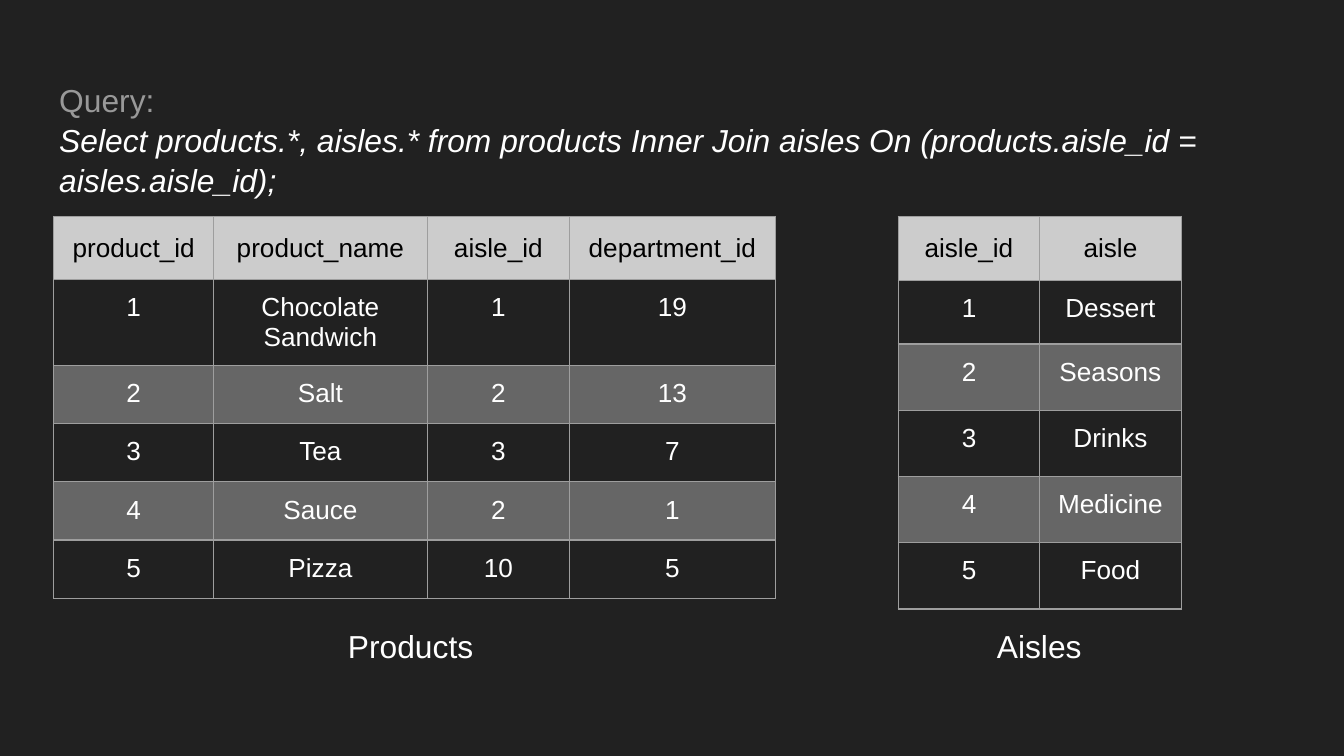
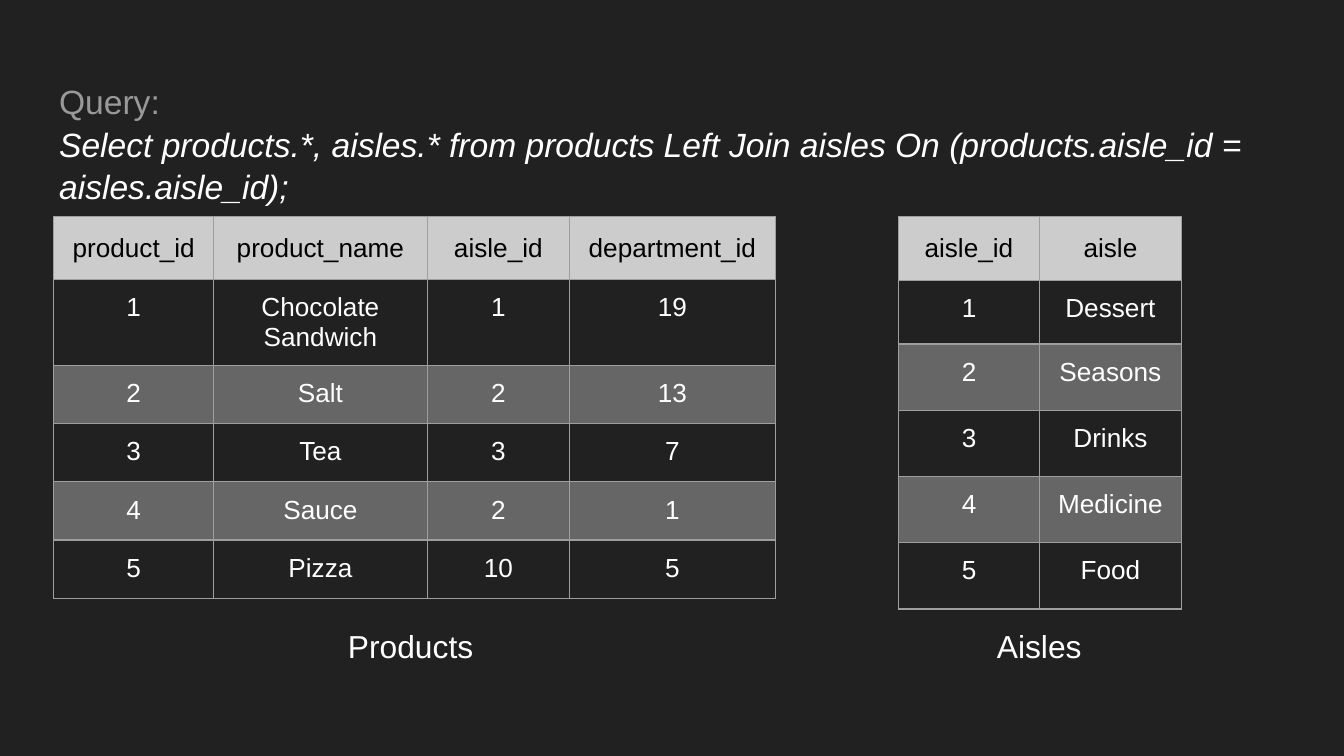
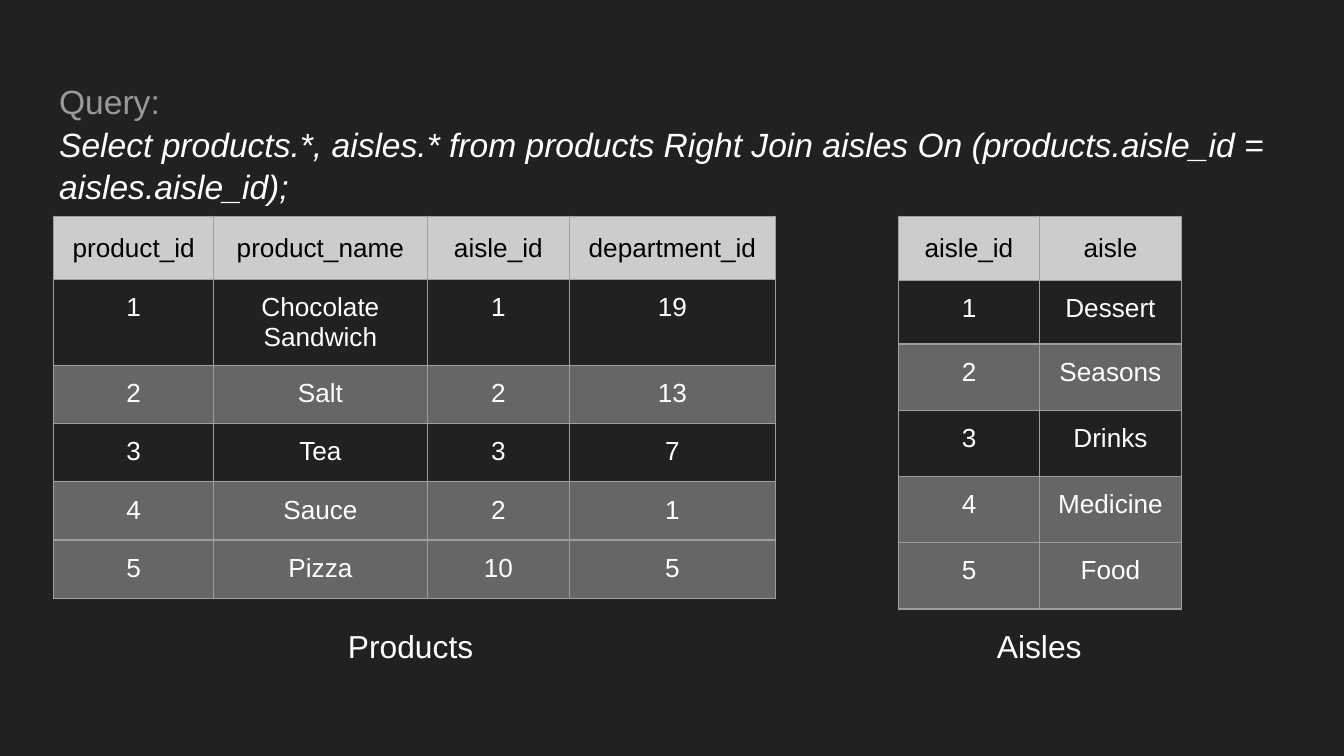
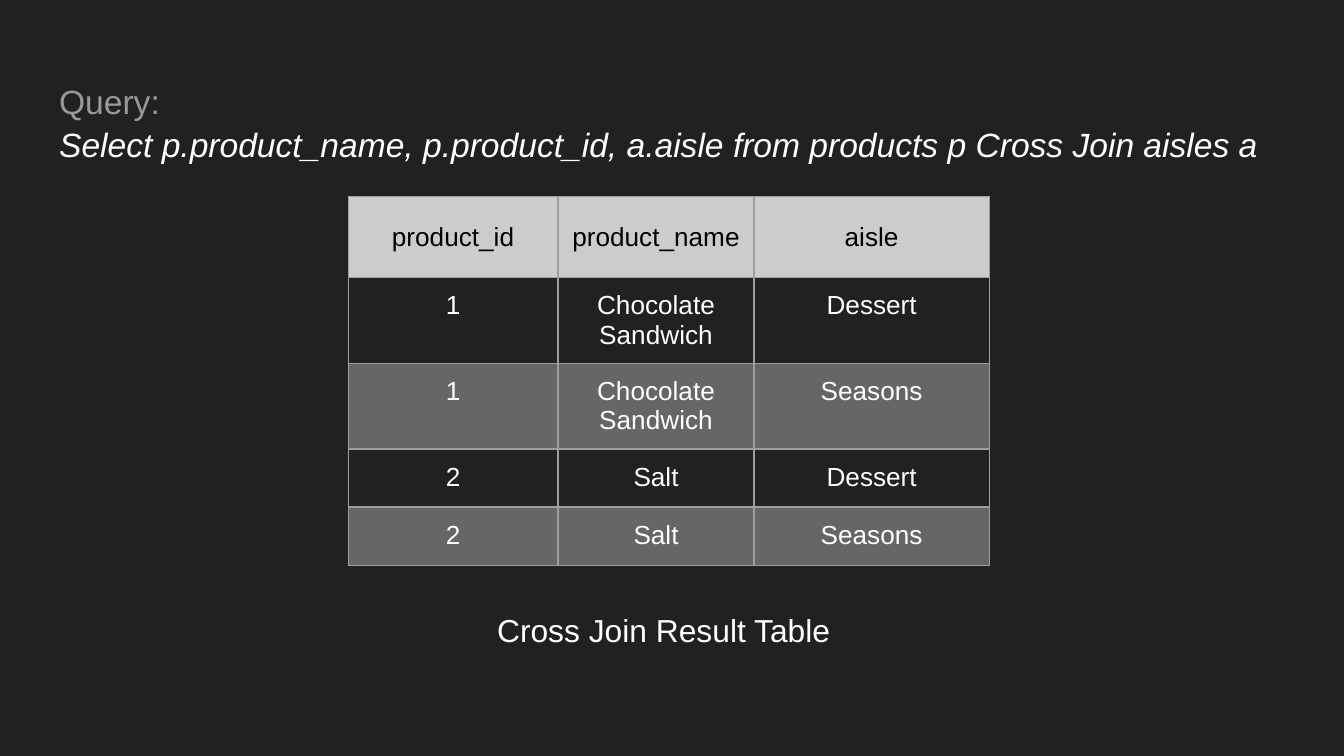
from lxml import etree
from pptx import Presentation
from pptx.dml.color import RGBColor
from pptx.enum import text as t
from pptx.oxml import ns
from pptx.util import Pt

FONT = "Arial"
DARK, BAND, HEAD, RULE = "212121", "666666", "CCCCCC", "9E9E9E"
WHITE, BLACK, GREY = "FFFFFF", "000000", "999999"
PAD = 7.2
LINE_SPACING = 1.05
CELL_SIZE, CAPTION_SIZE = 14, 17

PRODUCTS = {
    "rows": [
        ("product_id", "product_name", "aisle_id", "department_id"),
        ("1", "Chocolate Sandwich", "1", "19"),
        ("2", "Salt", "2", "13"),
        ("3", "Tea", "3", "7"),
        ("4", "Sauce", "2", "1"),
        ("5", "Pizza", "10", "5"),
    ],
    "at": (28.8, 115.9),
    "widths": (85.7, 114.4, 76.3, 110.2),
    "heights": (34, 31.2, 31.2, 31.2, 31.2, 31.2),
    "caption": ("Products", 179.3, 327.6, 85),
}
AISLES = {
    "rows": [
        ("aisle_id", "aisle"),
        ("1", "Dessert"),
        ("2", "Seasons"),
        ("3", "Drinks"),
        ("4", "Medicine"),
        ("5", "Food"),
    ],
    "at": (481.2, 115.9),
    "widths": (75.8, 75.8),
    "heights": (34.4, 34, 35.5, 35.5, 35.5, 35.5),
    "caption": ("Aisles", 527, 327.6, 60.5),
}
CROSS = {
    "rows": [
        ("product_id", "product_name", "aisle"),
        ("1", "Chocolate Sandwich", "Dessert"),
        ("1", "Chocolate Sandwich", "Seasons"),
        ("2", "Salt", "Dessert"),
        ("2", "Salt", "Seasons"),
    ],
    "at": (186.5, 105.3),
    "widths": (112.5, 105, 126),
    "heights": (43.4, 31.2, 31.2, 31.2, 31.2),
    "caption": ("Cross Join Result Table", 259.2, 319, 231.8),
}

JOIN = ("Select products.*, aisles.* from products {} Join aisles "
        "On (products.aisle_id = aisles.aisle_id);")
CROSS_JOIN = "Select p.product_name, p.product_id, a.aisle from products p Cross Join aisles a"

SLIDES = [
    {"query": JOIN.format("Inner"), "size": 17, "height": 62.6,
     "tables": (PRODUCTS, AISLES), "shaded": (2, 4)},
    {"query": JOIN.format("Left"), "size": 18, "height": 68.4,
     "tables": (PRODUCTS, AISLES), "shaded": (2, 4)},
    {"query": JOIN.format("Right"), "size": 18, "height": 68.4,
     "tables": (PRODUCTS, AISLES), "shaded": (2, 4, 5)},
    {"query": CROSS_JOIN, "size": 18, "height": 57.6,
     "tables": (CROSS,), "shaded": (2, 4)},
]


def rgb(value):
    return RGBColor.from_string(value)


def pad(box):
    box.margin_left = box.margin_right = Pt(PAD)
    box.margin_top = box.margin_bottom = Pt(PAD)


def add_run(p, words, size, color, italic=False):
    r = p.add_run()
    r.text = words
    r.font.name = FONT
    r.font.size = Pt(size)
    r.font.color.rgb = rgb(color)
    r.font.bold = False
    r.font.italic = italic


def write_lines(tf, lines, size):
    pad(tf)
    tf.word_wrap = True
    tf.auto_size = t.MSO_AUTO_SIZE.NONE
    tf.vertical_anchor = t.MSO_ANCHOR.TOP
    for i, (words, color, italic) in enumerate(lines):
        p = tf.add_paragraph() if i else tf.paragraphs[0]
        p.alignment = t.PP_ALIGN.LEFT
        p.line_spacing = LINE_SPACING
        p.space_before = p.space_after = Pt(0)
        add_run(p, words, size, color, italic)


def add_query(s, query, size, height):
    sp = s.shapes.title
    sp.left, sp.top, sp.width, sp.height = Pt(24.5), Pt(35.3), Pt(671), Pt(height)
    write_lines(sp.text_frame, [("Query:", GREY, False), (query, WHITE, True)], size)


def add_caption(s, words, left, top, width):
    sp = s.shapes.add_textbox(Pt(left), Pt(top), Pt(width), Pt(45.4))
    write_lines(sp.text_frame, [(words, WHITE, False)], CAPTION_SIZE)


def add_borders(cell):
    tc_pr = cell._tc.get_or_add_tcPr()
    for i, side in enumerate(("lnL", "lnR", "lnT", "lnB")):
        ln = etree.Element(ns.qn("a:" + side), w=str(Pt(0.75)))
        fill = etree.SubElement(ln, ns.qn("a:solidFill"))
        etree.SubElement(fill, ns.qn("a:srgbClr"), val=RULE)
        tc_pr.insert(i, ln)


def style_cell(cell, words, fill, color, anchor):
    pad(cell)
    cell.vertical_anchor = anchor
    cell.fill.solid()
    cell.fill.fore_color.rgb = rgb(fill)
    add_borders(cell)
    p = cell.text_frame.paragraphs[0]
    p.alignment = t.PP_ALIGN.CENTER
    add_run(p, words, CELL_SIZE, color)


def add_grid(s, data, shaded):
    rows, widths, heights = data["rows"], data["widths"], data["heights"]
    left, top = data["at"]
    table = s.shapes.add_table(len(rows), len(widths), Pt(left), Pt(top),
                               Pt(sum(widths)), Pt(sum(heights))).table
    table.first_row = table.horz_banding = False
    for column, width in zip(table.columns, widths):
        column.width = Pt(width)
    for i, (row, height) in enumerate(zip(rows, heights)):
        table.rows[i].height = Pt(height)
        if i == 0:
            look = HEAD, BLACK, t.MSO_ANCHOR.MIDDLE
        else:
            look = BAND if i in shaded else DARK, WHITE, t.MSO_ANCHOR.TOP
        for j, words in enumerate(row):
            style_cell(table.cell(i, j), words, *look)


def main():
    prs = Presentation()
    prs.slide_width, prs.slide_height = Pt(720), Pt(405)
    back = prs.slide_master.background.fill
    back.solid()
    back.fore_color.rgb = rgb(DARK)
    for content in SLIDES:
        s = prs.slides.add_slide(prs.slide_layouts[5])
        add_query(s, content["query"], content["size"], content["height"])
        for data in content["tables"]:
            add_grid(s, data, content["shaded"])
        for data in content["tables"]:
            add_caption(s, *data["caption"])
    prs.save("out.pptx")


if __name__ == "__main__":
    main()
